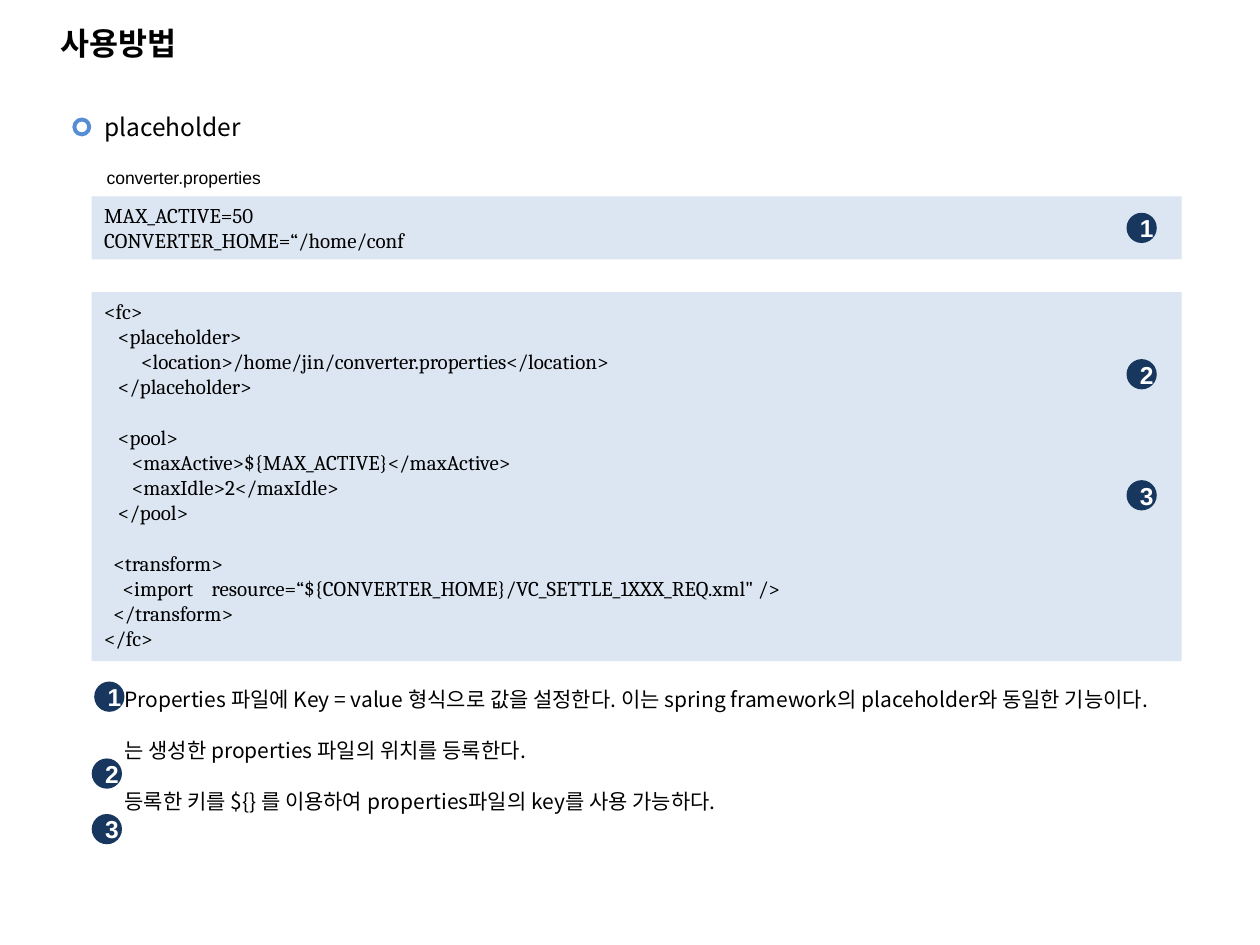
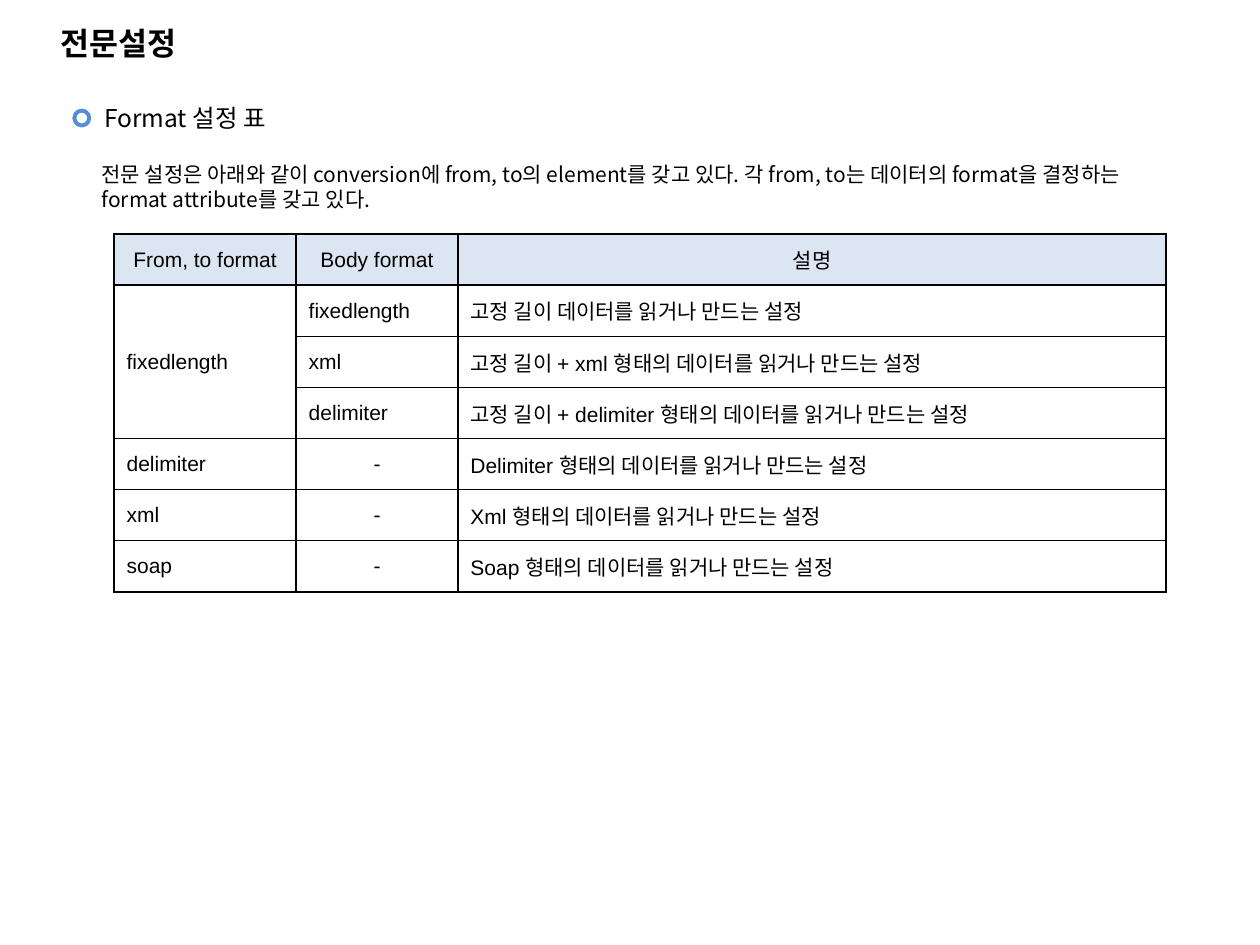
from lxml import etree
from pptx import Presentation
from pptx import util as u
from pptx.dml.color import RGBColor
from pptx.enum import shapes, text
from pptx.oxml import ns

COLORS = {"ink": "000000", "panel": "DCE6F2", "badge": "17375E", "ring": "558ED5", "paper": "FFFFFF"}
KOREAN, CODE, PLAIN = "Noto Sans CJK KR", "Cambria", "Arial"
BLANK_LINE = 14.4
CENTER = text.PP_ALIGN.CENTER
MIDDLE = text.MSO_ANCHOR.MIDDLE

# Each block is a list of lines; one blank line's height separates blocks.
PROPERTIES = [["MAX_ACTIVE=50", "CONVERTER_HOME=“/home/conf"]]
CONFIG = [
    ["<fc>",
     "   <placeholder>",
     "        <location>/home/jin/converter.properties</location>",
     "   </placeholder>"],
    ["   <pool>",
     "      <maxActive>${MAX_ACTIVE}</maxActive>",
     "      <maxIdle>2</maxIdle>",
     "   </pool>"],
    ["  <transform>",
     "    <import    resource=“${CONVERTER_HOME}/VC_SETTLE_1XXX_REQ.xml\" />",
     "  </transform>",
     "</fc>"],
]
NOTES = [
    ["Properties 파일에 Key = value 형식으로 값을 설정한다. 이는 spring framework의 placeholder와 동일한 기능이다."],
    ["는 생성한 properties 파일의 위치를 등록한다."],
    ["등록한 키를 ${} 를 이용하여 properties파일의 key를 사용 가능하다."],
]
PANEL_BADGES = [(22.71, 4.29), (22.71, 7.24), (22.71, 9.68)]
NOTE_BADGES = [(1.9, 13.74), (1.85, 15.29), (1.85, 16.41)]

FORMAT_INTRO = ("전문 설정은 아래와 같이 conversion에 from, to의 element를 갖고 있다. "
                "각 from, to는 데이터의 format을 결정하는 format attribute를 갖고 있다.")
FORMAT_ROWS = [
    ("From, to format", "Body format", "설명"),
    ("fixedlength", "fixedlength", "고정 길이 데이터를 읽거나 만드는 설정"),
    ("", "xml", "고정 길이 + xml 형태의 데이터를 읽거나 만드는 설정"),
    ("", "delimiter", "고정 길이 + delimiter 형태의 데이터를 읽거나 만드는 설정"),
    ("delimiter", "-", "Delimiter 형태의 데이터를 읽거나 만드는 설정"),
    ("xml", "-", "Xml 형태의 데이터를 읽거나 만드는 설정"),
    ("soap", "-", "Soap 형태의 데이터를 읽거나 만드는 설정"),
]
FORMAT_COLUMNS = (3.67, 3.26, 14.28)
ROW_HEIGHT = 1.03


def color(name):
    return RGBColor.from_string(COLORS[name])


def cm(*lengths):
    return [u.Cm(length) for length in lengths]


def style(para, font, size, ink="ink", bold=False):
    for span in para.runs:
        span.font.name = font
        span.font.size = u.Pt(size)
        span.font.bold = bold
        span.font.color.rgb = color(ink)
        east_asian = etree.SubElement(span.font._element, ns.qn("a:ea"))
        east_asian.set("typeface", KOREAN)


def write_blocks(frame, blocks, font, size, pitch=None, indent=0):
    """Fill a frame line by line; pitch fixes the line height in points."""
    frame.word_wrap = True
    frame.vertical_anchor = text.MSO_ANCHOR.TOP
    for block_index, block in enumerate(blocks):
        for line_index, line in enumerate(block):
            first = block_index == line_index == 0
            para = frame.paragraphs[0] if first else frame.add_paragraph()
            para.text = line
            para.alignment = text.PP_ALIGN.LEFT
            if pitch:
                para.line_spacing = u.Pt(pitch)
            if block_index and line_index == 0:
                para.space_before = u.Pt(BLANK_LINE)
            if indent:
                para._p.get_or_add_pPr().set("indent", str(u.Cm(indent)))
            style(para, font, size)


def add_text(page, box, blocks, font, size, **layout):
    frame = page.shapes.add_textbox(*cm(*box)).text_frame
    write_blocks(frame, blocks, font, size, **layout)
    return frame


def add_shape(page, kind, box, fill=None):
    shape = page.shapes.add_shape(kind, *cm(*box))
    shape.shadow.inherit = False
    shape.line.fill.background()
    if fill:
        shape.fill.solid()
        shape.fill.fore_color.rgb = color(fill)
    else:
        shape.fill.background()
    return shape


def add_page(deck, title, heading, heading_top):
    """Add a page with its title and a ring-bulleted heading."""
    page = deck.slides.add_slide(deck.slide_layouts[6])
    frame = add_text(page, (0.97, 0.38, 22.86, 0.99), [[title]], KOREAN, 18)
    frame.vertical_anchor = text.MSO_ANCHOR.BOTTOM
    frame.paragraphs[0].runs[0].font.bold = True
    ring = add_shape(page, shapes.MSO_SHAPE.OVAL, (1.5, heading_top + 0.3, 0.3, 0.3))
    ring.line.color.rgb = color("ring")
    ring.line.width = u.Pt(2.25)
    add_text(page, (1.85, heading_top, 22.86, 0.86), [[heading]], KOREAN, 14, pitch=17.3)
    return page


def add_code(page, top, height, blocks):
    panel = add_shape(page, shapes.MSO_SHAPE.RECTANGLE, (1.85, top, 21.97, height), "panel")
    write_blocks(panel.text_frame, blocks, CODE, 12)


def add_badges(page, places):
    for number, (left, top) in enumerate(places, 1):
        badge = add_shape(page, shapes.MSO_SHAPE.OVAL, (left, top, 0.61, 0.61), "badge")
        badge.text_frame.text = str(number)
        badge.text_frame.vertical_anchor = MIDDLE
        para = badge.text_frame.paragraphs[0]
        para.alignment = CENTER
        style(para, PLAIN, 14, "paper", True)


def add_borders(cell):
    properties = cell._tc.get_or_add_tcPr()
    for index, side in enumerate(("lnL", "lnR", "lnT", "lnB")):
        line = etree.Element(ns.qn(f"a:{side}"), w=str(u.Pt(1)))
        fill = etree.SubElement(line, ns.qn("a:solidFill"))
        etree.SubElement(fill, ns.qn("a:srgbClr"), val=COLORS["ink"])
        properties.insert(index, line)


def add_format_table(page):
    box = (2.3, 4.72, sum(FORMAT_COLUMNS), ROW_HEIGHT * len(FORMAT_ROWS))
    table = page.shapes.add_table(len(FORMAT_ROWS), len(FORMAT_COLUMNS), *cm(*box)).table
    table.first_row = table.horz_banding = False
    for column, width in zip(table.columns, FORMAT_COLUMNS):
        column.width = u.Cm(width)
    for row_index, row in enumerate(FORMAT_ROWS):
        table.rows[row_index].height = u.Cm(ROW_HEIGHT)
        for column_index, label in enumerate(row):
            cell = table.cell(row_index, column_index)
            cell.text_frame.text = label
            cell.vertical_anchor = MIDDLE
            para = cell.text_frame.paragraphs[0]
            if row_index == 0 or label == "-":
                para.alignment = CENTER
            style(para, PLAIN, 12)
            if row_index == 0:
                cell.fill.solid()
                cell.fill.fore_color.rgb = color("panel")
            else:
                cell.fill.background()
            add_borders(cell)
    table.cell(1, 0).merge(table.cell(3, 0))


def add_placeholder_page(deck):
    page = add_page(deck, "사용방법", "placeholder", 2.11)
    label = add_text(page, (1.9, 3.25, 3.66, 0.69), [["converter.properties"]], PLAIN, 10)
    label.word_wrap = False
    add_code(page, 3.96, 1.27, PROPERTIES)
    add_code(page, 5.89, 7.44, CONFIG)
    add_text(page, (1.8, 13.72, 22.02, 3.33), NOTES, KOREAN, 12, pitch=14.5, indent=0.46)
    add_badges(page, PANEL_BADGES)
    add_badges(page, NOTE_BADGES)


def add_format_page(deck):
    page = add_page(deck, "전문설정", "Format 설정 표", 1.93)
    add_text(page, (1.8, 3.12, 22.02, 1.27), [[FORMAT_INTRO]], KOREAN, 12, pitch=14.5)
    add_format_table(page)


def main():
    deck = Presentation()
    deck.slide_width, deck.slide_height = cm(25.4, 19.05)
    add_placeholder_page(deck)
    add_format_page(deck)
    deck.save("out.pptx")


if __name__ == "__main__":
    main()
